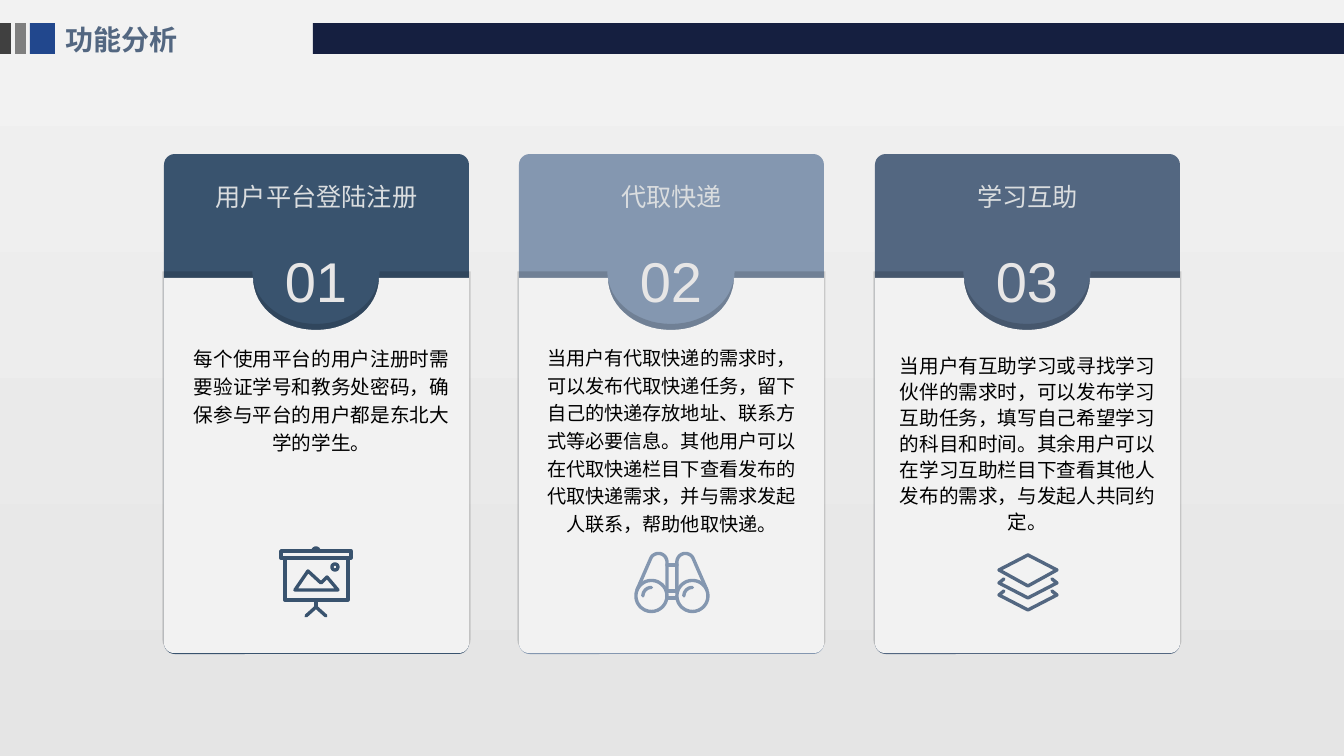
import math

import pptx
import pptx.dml.color
import pptx.enum.shapes
import pptx.enum.text
import pptx.oxml
import pptx.oxml.ns
import pptx.util

PX = 12192000 / 1344
FINE = 10  # freeform units per px
FONT = "Arial"
CENTER = pptx.enum.text.PP_ALIGN.CENTER
SHAPE = pptx.enum.shapes.MSO_SHAPE
color = pptx.dml.color.RGBColor.from_string


def write(shape, text, size=14, fill="000000", bold=False, align=CENTER, spacing=None, wrap=True, inset=5):
    frame = shape.text_frame
    frame.word_wrap = wrap
    frame.auto_size = pptx.enum.text.MSO_AUTO_SIZE.NONE
    frame.vertical_anchor = pptx.enum.text.MSO_ANCHOR.TOP
    frame.margin_left = frame.margin_right = round(10 * PX)
    frame.margin_top = frame.margin_bottom = round(inset * PX)
    para = frame.paragraphs[0]
    para.alignment = align
    para.line_spacing = spacing
    span = para.add_run()
    span.text = text
    span.font.name = FONT
    span.font.size = pptx.util.Pt(size)
    span.font.bold = bold
    span.font.color.rgb = color(fill)


def arc(x, y, rx, ry, start, end):
    """Points along an ellipse, angles in degrees, clockwise from the right."""
    steps = max(6, abs(end - start) // 6)
    angles = [math.radians(start + (end - start) * i / steps) for i in range(steps + 1)]
    return [(x + rx * math.cos(a), y + ry * math.sin(a)) for a in angles]


# Outlines: (points, closed), x measured from the left edge of the card
PANEL = [
    ([(0, 278), *arc(152, 278, 63, 52, 180, 0), (305, 278),
      *arc(295, 643, 10, 10, 0, 90), *arc(10, 643, 10, 10, 90, 180)], True),
]
BOARD = [
    ([(117, 551), (187, 551), (187, 558), (117, 558)], True),
    ([(121, 558), (121, 600), (184, 600), (184, 558)], False),
    (arc(152, 551, 3, 3, 180, 360), False),
    (arc(171, 567, 3, 3, 0, 360), True),
    ([(131, 590), (144, 571), (157, 583), (163, 577), (174, 590)], True),
    ([(152, 600), (152, 607)], False),
    ([(142, 616), (152, 607), (162, 616)], False),
]
BINOCULARS = [
    ([(118, 590), *arc(139.5, 562, 8.5, 8.5, 200, 360), (148, 593)], False),
    ([(188, 590), *arc(166.5, 562, 8.5, 8.5, -20, -180), (158, 593)], False),
]
for lens in (132.5, 173.5):
    BINOCULARS.append((arc(lens, 596, 15.5, 15.5, 0, 360), True))
    BINOCULARS.append((arc(lens, 596, 8.5, 8.5, 180, 270), False))
for bridge in (565, 591, 598):
    BINOCULARS.append(([(148, bridge), (158, bridge)], False))
LAYERS = [([(124, 570), (153, 555), (182, 570), (153, 586)], True)]
for edge in (583, 595):
    LAYERS.append(([(129, edge - 4), (124, edge), (153, edge + 15), (182, edge), (177, edge - 4)], False))

CARDS = [
    dict(heading="用户平台登陆注册", fill="39536E", icon=BOARD, box=(11, 337, 293, 210), size=14, spacing=1.2,
         body="每个使用平台的用户注册时需要验证学号和教务处密码，确保参与平台的用户都是东北大学的学生。"),
    dict(heading="代取快递", fill="8497B0", icon=BINOCULARS, box=(12, 337, 281, 259), size=13.7, spacing=1.2,
         body="当用户有代取快递的需求时，可以发布代取快递任务，留下自己的快递存放地址、联系方式等必要信息。"
              "其他用户可以在代取快递栏目下查看发布的代取快递需求，并与需求发起人联系，帮助他取快递。"),
    dict(heading="学习互助", fill="536781", icon=LAYERS, box=(12, 347, 281, 200), size=14, spacing=1.1,
         body="当用户有互助学习或寻找学习伙伴的需求时，可以发布学习互助任务，填写自己希望学习的科目和时间。"
              "其余用户可以在学习互助栏目下查看其他人发布的需求，与发起人共同约定。"),
]
SHADOW = (
    f'<a:effectLst {pptx.oxml.ns.nsdecls("a")}>'
    '<a:outerShdw blurRad="0" dist="25400" dir="16200000" sx="101000" sy="101000" algn="b" rotWithShape="0">'
    '<a:srgbClr val="000000"><a:alpha val="14000"/></a:srgbClr></a:outerShdw></a:effectLst>'
)

deck = pptx.Presentation()
deck.slide_width, deck.slide_height = round(1344 * PX), round(756 * PX)
slide = deck.slides.add_slide(deck.slide_layouts[5])
shapes = slide.shapes

backdrop = slide.background.fill
backdrop.gradient()
backdrop.gradient_angle = 270
for stop, shade in zip(backdrop.gradient_stops, ("F2F2F2", "E5E5E5")):
    stop.color.rgb = color(shade)

for left, width, fill in ((0, 11, "404040"), (30, 25, "21478D"), (15, 11, "7F7F7F"), (313, 1031, "151F40")):
    bar = shapes.add_shape(SHAPE.RECTANGLE, *(round(v * PX) for v in (left, 23, width, 31)))
    bar.shadow.inherit = False
    bar.fill.solid()
    bar.fill.fore_color.rgb = color(fill)
    bar.line.fill.background()

title = shapes.title
title.left, title.top, title.width, title.height = (round(v * PX) for v in (55, 17, 258, 44))
write(title, "功能分析", size=20, fill="536781", bold=True, align=pptx.enum.text.PP_ALIGN.LEFT)

for index, card in enumerate(CARDS):
    left = 164 + 711 * index // 2
    back = shapes.add_shape(SHAPE.ROUNDED_RECTANGLE, *(round(v * PX) for v in (left, 154, 305, 500)))
    back.adjustments[0] = 0.035
    back.shadow.inherit = False
    back.fill.solid()
    back.fill.fore_color.rgb = color(card["fill"])
    back.line.fill.background()
    write(back, card["heading"], size=18, fill="DADDDF", wrap=False, inset=24)

    for contours in (PANEL, card["icon"]):
        pen = None
        for points, closed in contours:
            spots = [((left + x) * FINE, y * FINE) for x, y in points]
            if pen is None:
                pen = shapes.build_freeform(*spots[0], scale=PX / FINE)
            else:
                pen.move_to(*spots[0])
            pen.add_line_segments(spots[1:], close=closed)
        outline = pen.convert_to_shape()
        if contours is PANEL:
            outline.fill.solid()
            outline.fill.fore_color.rgb = color("F2F2F2")
            outline.line.fill.background()
            outline.element.spPr.append(pptx.oxml.parse_xml(SHADOW))
        else:
            outline.shadow.inherit = False
            outline.fill.background()
            outline.line.color.rgb = color(card["fill"])
            outline.line.width = pptx.util.Pt(2.4)
            stroke = outline.element.spPr.find(pptx.oxml.ns.qn("a:ln"))
            stroke.set("cap", "rnd")
            stroke.append(pptx.oxml.parse_xml(f'<a:round {pptx.oxml.ns.nsdecls("a")}/>'))

    number = shapes.add_textbox(*(round(v * PX) for v in (left + 101, 241, 102, 96)))
    write(number, f"{index + 1:02}", size=40, fill="E7E6E6", wrap=False)
    x, y, width, height = card["box"]
    body = shapes.add_textbox(*(round(v * PX) for v in (left + x, y, width, height)))
    write(body, card["body"], size=card["size"], spacing=card["spacing"])

deck.save("out.pptx")
